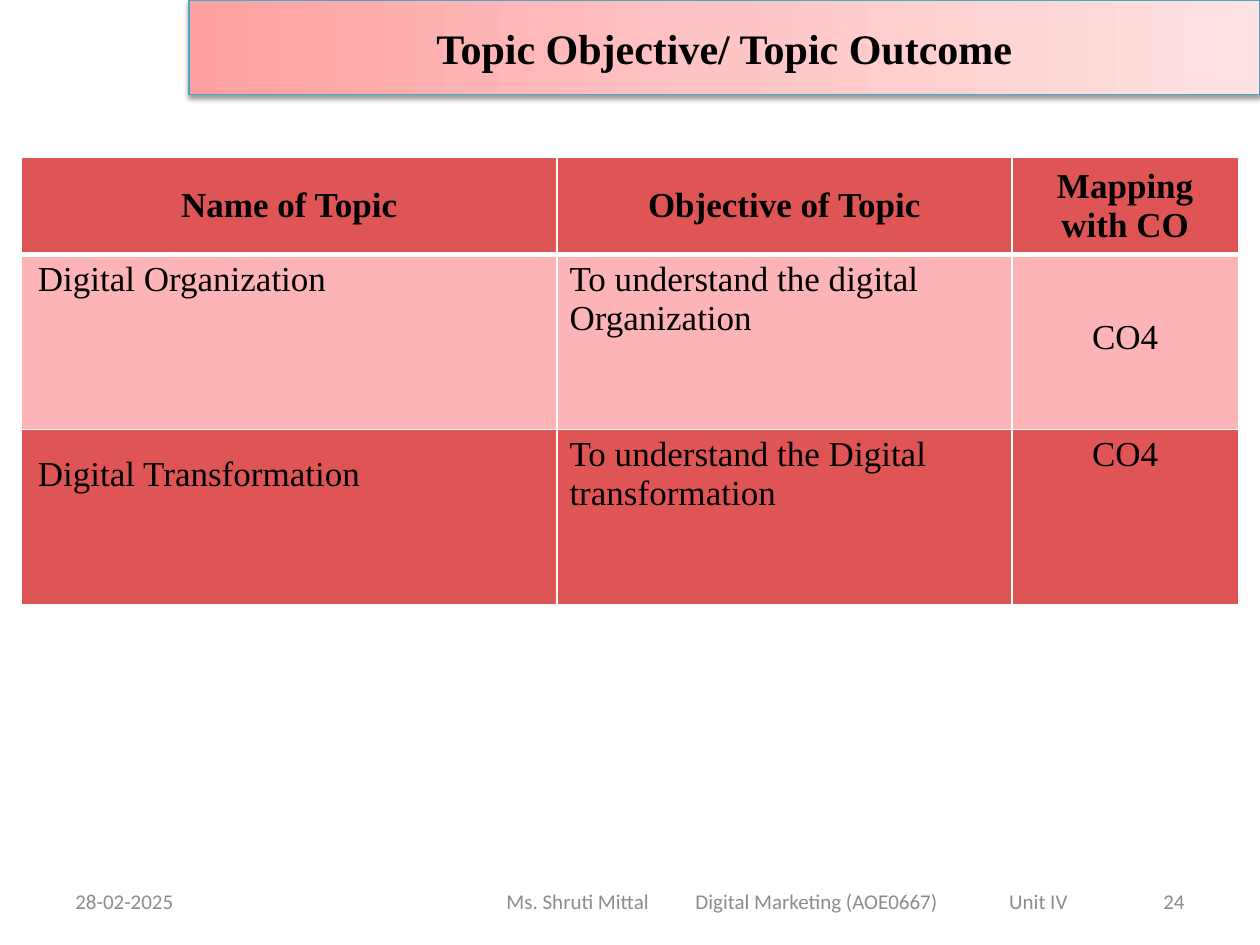
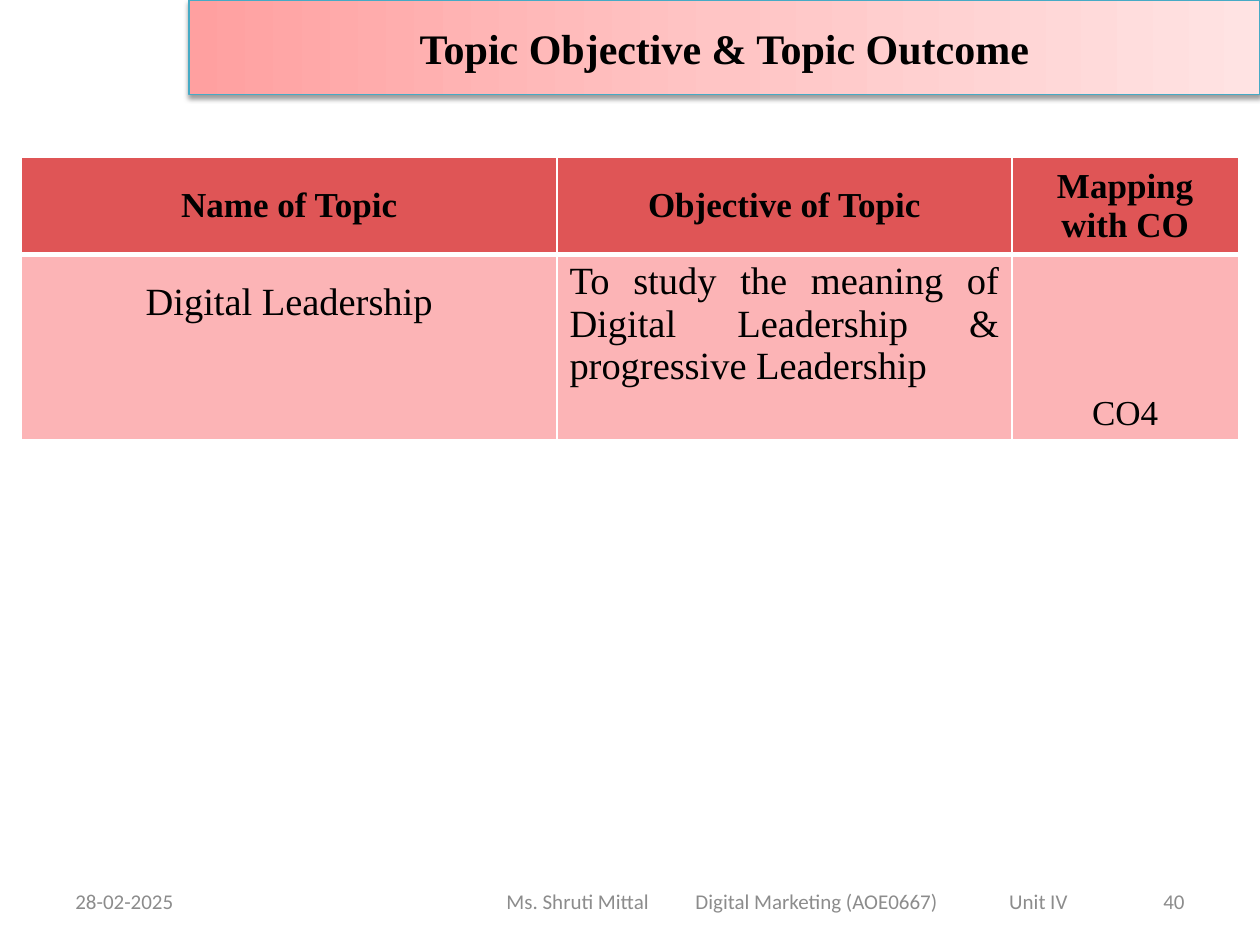
from copy import deepcopy

from lxml import etree
from pptx import Presentation
from pptx.dml.color import RGBColor
from pptx.enum.shapes import MSO_SHAPE
from pptx.enum.text import MSO_ANCHOR, PP_ALIGN
from pptx.oxml.ns import qn
from pptx.util import Inches, Pt

LEFT, CENTER, RIGHT, JUSTIFY = PP_ALIGN.LEFT, PP_ALIGN.CENTER, PP_ALIGN.RIGHT, PP_ALIGN.JUSTIFY
TOP, MIDDLE, BOTTOM = MSO_ANCHOR.TOP, MSO_ANCHOR.MIDDLE, MSO_ANCHOR.BOTTOM

SERIF, SANS = "Times New Roman", "Calibri"
BLACK, GREY, WHITE, TEAL = "000000", "8C8C8C", "FFFFFF", "46AAC5"
DARK_ROW, LIGHT_ROW = "DF5556", "FCB4B6"
BAND_STOPS = [(0, "FFA0A0"), (50, "FFC5C5"), (100, "FFE3E3")]

DATE = "28-02-2025"
COURSE = ["Ms. Shruti Mittal", "Digital Marketing (AOE0667)", "Unit IV"]
COURSE_TABS = [1.5, 3.99]

HEADINGS = ["Name of Topic", "Objective of Topic", "Mapping with CO"]
COLUMN_WIDTHS = [4.25, 3.61, 1.8]
SIDE_MARGINS = [0.13, 0.1, 0.13]
HEADING_HEIGHT = 0.71

# Each cell: text, then the settings that differ from the defaults of fill_cell
SLIDES = [
    {
        "title": "Topic Objective/ Topic Outcome",
        "number": "24",
        "row_height": 1.39,
        "topics": [
            [("Digital Organization", {"align": JUSTIFY}),
             ("To understand the digital Organization", {}),
             ("CO4", {"align": CENTER, "top": 0.51})],
            [("Digital Transformation", {"spacing": 1.5}),
             ("To understand the Digital transformation", {}),
             ("CO4", {"align": CENTER})],
        ],
    },
    {
        "title": "Topic Objective & Topic Outcome",
        "number": "40",
        "row_height": 1.47,
        "topics": [
            [("Digital Leadership", {"align": CENTER, "size": 22, "spacing": 1.5}),
             ("To study the meaning of Digital Leadership & progressive Leadership",
              {"align": JUSTIFY, "size": 22}),
             ("CO4", {"align": CENTER, "anchor": BOTTOM})],
        ],
    },
]


def rgb(value):
    return RGBColor.from_string(value)


def write(paragraph, text, size, font, color, align=LEFT, bold=False):
    paragraph.alignment = align
    run = paragraph.add_run()
    run.text = text
    run.font.size = Pt(size)
    run.font.name = font
    run.font.bold = bold
    run.font.color.rgb = rgb(color)


def add_title_band(slide, title):
    band = slide.shapes.add_shape(
        MSO_SHAPE.RECTANGLE, Inches(1.5), 0, Inches(8.5), Inches(0.75))
    band.line.color.rgb = rgb(TEAL)
    band.line.width = Pt(0.75)

    band.fill.gradient()
    band.fill.gradient_angle = 0
    stops = band.fill._fill._gradFill.find(qn("a:gsLst"))
    stops.insert(1, deepcopy(stops[0]))
    for stop, (position, color) in zip(band.fill.gradient_stops, BAND_STOPS):
        stop.position = position / 100
        stop.color.rgb = rgb(color)

    band.shadow.inherit = False
    effects = band._element.spPr.find(qn("a:effectLst"))
    shadow = etree.SubElement(
        effects, qn("a:outerShdw"), blurRad=str(Pt(3.1)), dist=str(Pt(1.6)),
        dir="5400000", rotWithShape="0")
    shadow_color = etree.SubElement(shadow, qn("a:srgbClr"), val=BLACK)
    etree.SubElement(shadow_color, qn("a:alpha"), val="38000")

    band.text_frame.vertical_anchor = MIDDLE
    write(band.text_frame.paragraphs[0], title, 24, SERIF, BLACK, CENTER, True)


def add_footer_part(slide, left, width, text, align=LEFT, indent=0.1, tabs=()):
    box = slide.shapes.add_textbox(
        Inches(left), Inches(6.95), Inches(width), Inches(0.4))
    frame = box.text_frame
    frame.word_wrap = True
    frame.vertical_anchor = MIDDLE
    frame.margin_left = Inches(indent)
    paragraph = frame.paragraphs[0]
    if tabs:
        tab_list = etree.SubElement(paragraph._p.get_or_add_pPr(), qn("a:tabLst"))
        for tab in tabs:
            etree.SubElement(tab_list, qn("a:tab"), pos=str(Inches(tab)), algn="l")
    write(paragraph, text, 12, SANS, GREY, align)


def add_footer(slide, number):
    add_footer_part(slide, 0.5, 2.33, DATE)
    add_footer_part(slide, 3.42, 5.67, "\t".join(COURSE), indent=0.6, tabs=COURSE_TABS)
    add_footer_part(slide, 7.17, 2.33, number, RIGHT)


def set_borders(cell, top, bottom):
    """Draw white cell borders, 1 pt wide at the sides."""
    properties = cell._tc.get_or_add_tcPr()
    widths = {"a:lnL": 1, "a:lnR": 1, "a:lnT": top, "a:lnB": bottom}
    for index, (side, width) in enumerate(widths.items()):
        line = etree.Element(qn(side), w=str(Pt(width)))
        fill = etree.SubElement(line, qn("a:solidFill"))
        etree.SubElement(fill, qn("a:srgbClr"), val=WHITE)
        properties.insert(index, line)


def fill_cell(cell, text, side, color, align=LEFT, anchor=TOP, size=20,
              spacing=None, top=0.05, bold=False):
    cell.fill.solid()
    cell.fill.fore_color.rgb = rgb(color)
    cell.vertical_anchor = anchor
    cell.margin_left = cell.margin_right = Inches(side)
    cell.margin_top, cell.margin_bottom = Inches(top), Inches(0.05)
    paragraph = cell.text_frame.paragraphs[0]
    if spacing:
        paragraph.line_spacing = spacing
    write(paragraph, text, size, SERIF, BLACK, align, bold)


def add_topic_table(slide, topics, row_height):
    heading_style = {"align": CENTER, "anchor": MIDDLE, "bold": True}
    rows = [[(heading, heading_style) for heading in HEADINGS]] + topics
    heights = [HEADING_HEIGHT] + [row_height] * len(topics)
    table = slide.shapes.add_table(
        len(rows), len(HEADINGS), Inches(0.17), Inches(1.25),
        Inches(sum(COLUMN_WIDTHS)), Inches(sum(heights))).table
    table.horz_banding = False
    for column, width in zip(table.columns, COLUMN_WIDTHS):
        column.width = Inches(width)
    for r, (row, height) in enumerate(zip(rows, heights)):
        table.rows[r].height = Inches(height)
        color = LIGHT_ROW if r % 2 else DARK_ROW
        for c, (text, style) in enumerate(row):
            cell = table.cell(r, c)
            side = 0.13 if r == 0 else SIDE_MARGINS[c]
            fill_cell(cell, text, side, color, **style)
            set_borders(cell, top=3 if r == 1 else 1, bottom=3 if r == 0 else 1)


def main():
    deck = Presentation()
    deck.slide_width, deck.slide_height = Inches(10), Inches(7.5)
    for content in SLIDES:
        slide = deck.slides.add_slide(deck.slide_layouts[6])
        add_footer(slide, content["number"])
        add_title_band(slide, content["title"])
        add_topic_table(slide, content["topics"], content["row_height"])
    deck.save("out.pptx")


if __name__ == "__main__":
    main()
